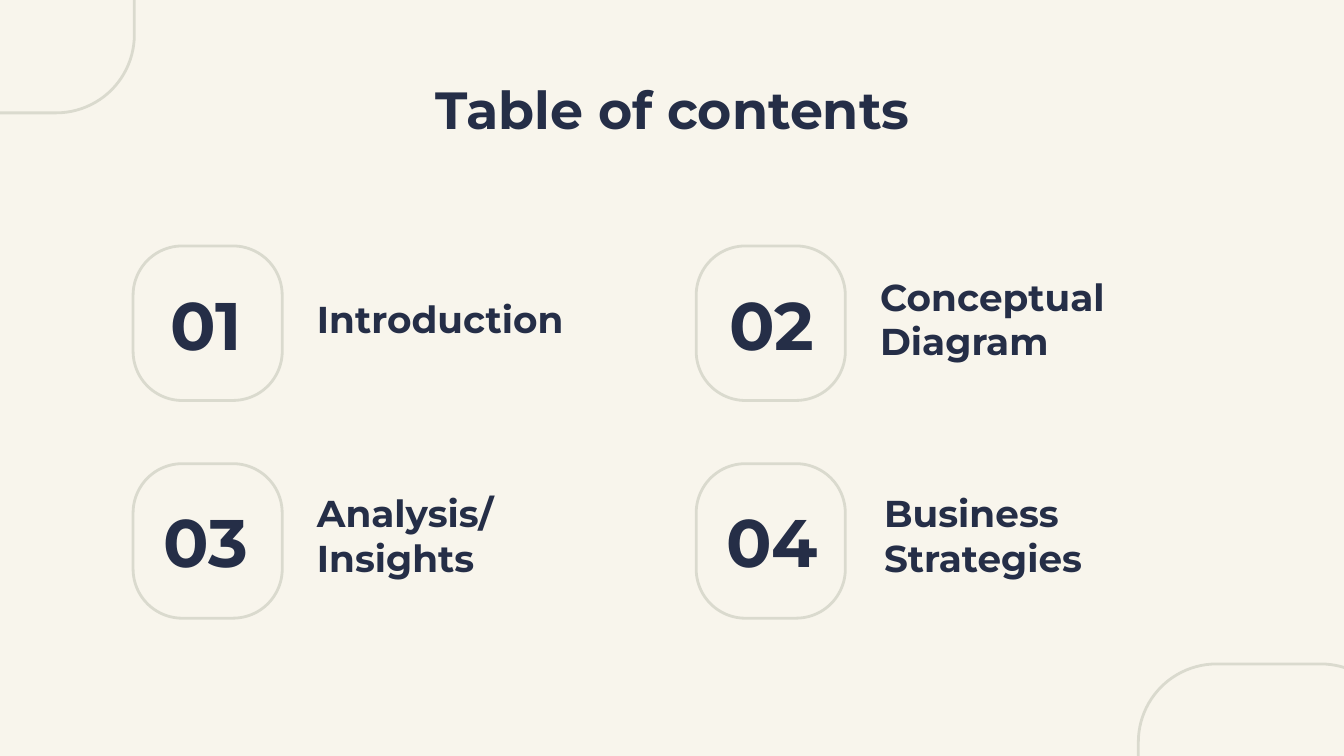
from pptx import Presentation
from pptx.dml.color import RGBColor
from pptx.enum.shapes import MSO_SHAPE
from pptx.enum.text import MSO_ANCHOR, PP_ALIGN
from pptx.util import Inches, Pt

CREAM = RGBColor(0xF8, 0xF5, 0xEC)
STONE = RGBColor(0xDA, 0xDA, 0xCE)
NAVY = RGBColor(0x25, 0x2E, 0x47)

ROW_TOP = 1.83
ROW_STEP = 1.62
TOPIC_TOP = 2.08
TOPIC_STEP = 1.61
TILE_LEFT = 0.99
TILE_STEP = 4.19
NUMBER_LEFT = 0.96
NUMBER_STEP = 4.21

TOPICS = [
    ("Introduction", 2.26, 2.52),
    ("Conceptual Diagram", 6.45, 2.8),
    ("Analysis/Insights", 2.26, 2.52),
    ("Business Strategies", 6.48, 2.52),
]


def write_text(frame, text, *, size, align, font="Montserrat", color=NAVY, bold=True):
    para = frame.paragraphs[0]
    para.alignment = align
    span = para.add_run()
    span.text = text
    span.font.name = font
    span.font.size = Pt(size)
    span.font.bold = bold
    span.font.color.rgb = color


class ContentsSlide:
    def __init__(self, page):
        self.page = page
        self.outline = STONE
        self.outline_width = Pt(1.5)
        self.inset = Inches(0.1)
        fill = page.background.fill
        fill.solid()
        fill.fore_color.rgb = CREAM

    def rounded_outline(self, left, top, width, height, rounding):
        box = self.page.shapes.add_shape(
            MSO_SHAPE.ROUNDED_RECTANGLE,
            Inches(left), Inches(top), Inches(width), Inches(height),
        )
        box.adjustments[0] = rounding
        box.shadow.inherit = False
        box.fill.background()
        box.line.color.rgb = self.outline
        box.line.width = self.outline_width

    def label(self, text, left, top, width, height, size, align=PP_ALIGN.CENTER):
        box = self.page.shapes.add_textbox(
            Inches(left), Inches(top), Inches(width), Inches(height)
        )
        frame = box.text_frame
        frame.word_wrap = True
        frame.vertical_anchor = MSO_ANCHOR.MIDDLE
        frame.margin_left = frame.margin_right = self.inset
        frame.margin_top = frame.margin_bottom = self.inset
        write_text(frame, text, size=size, align=align)


def main():
    deck = Presentation()
    deck.slide_width = Inches(10)
    deck.slide_height = deck.slide_width * 9 // 16
    slide = ContentsSlide(deck.slides.add_slide(deck.slide_layouts[6]))

    for left, top in [(-0.94, -1.48), (8.47, 4.94)]:
        slide.rounded_outline(left, top, 1.94, 2.32, 0.3)

    slide.label("Table of contents", 0.79, 0.49, 8.43, 0.63, 28)

    for index, (topic, topic_left, topic_width) in enumerate(TOPICS):
        row, column = divmod(index, 2)
        top = ROW_TOP + row * ROW_STEP
        topic_top = TOPIC_TOP + row * TOPIC_STEP
        slide.rounded_outline(TILE_LEFT + column * TILE_STEP, top, 1.11, 1.15, 0.33)
        slide.label(
            f"{index + 1:02}", NUMBER_LEFT + column * NUMBER_STEP, top, 1.15, 1.15, 36
        )
        slide.label(topic, topic_left, topic_top, topic_width, 0.58, 20, PP_ALIGN.LEFT)

    deck.save("out.pptx")


if __name__ == "__main__":
    main()
